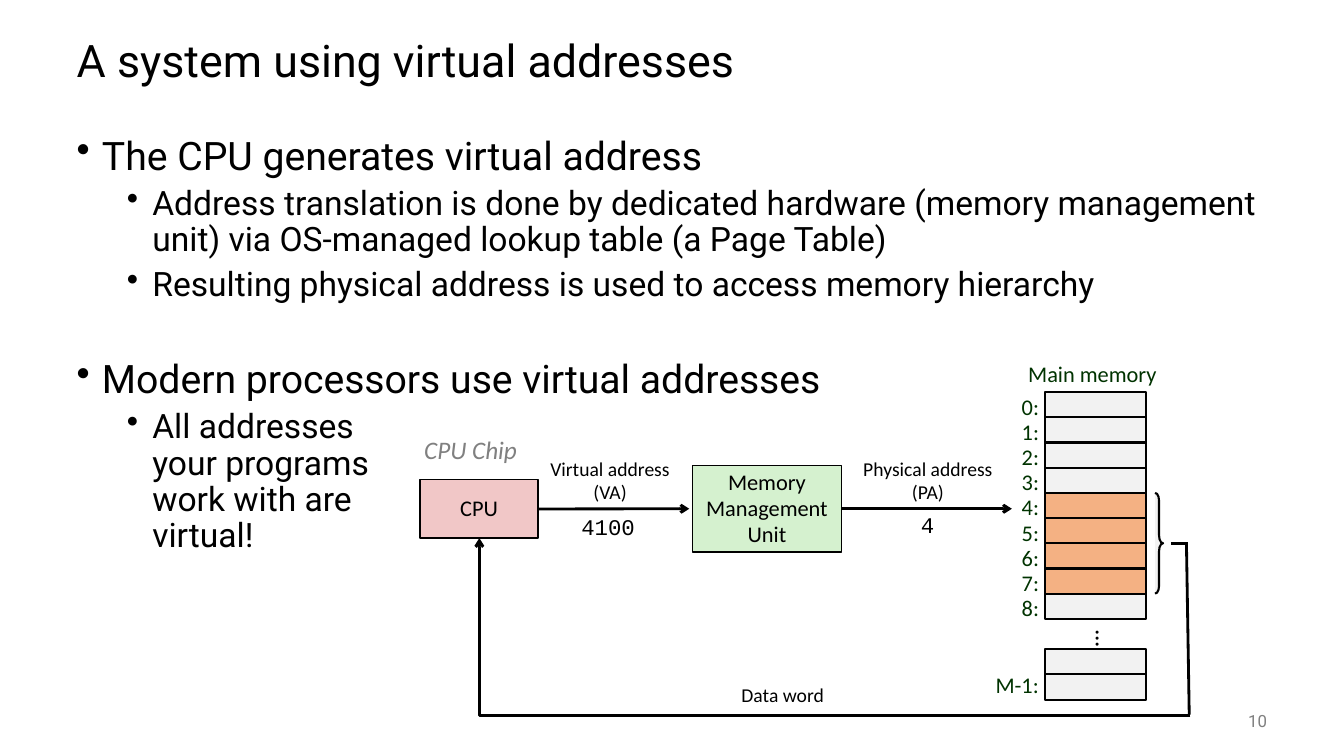
import dataclasses
import lxml.etree
import pptx
import pptx.dml.color
import pptx.enum.shapes
import pptx.enum.text
import pptx.oxml.ns
import pptx.util

Cm = pptx.util.Cm
Pt = pptx.util.Pt
Align = pptx.enum.text.PP_ALIGN
Anchor = pptx.enum.text.MSO_ANCHOR
Fit = pptx.enum.text.MSO_AUTO_SIZE
Shape = pptx.enum.shapes.MSO_SHAPE
Link = pptx.enum.shapes.MSO_CONNECTOR
qn = pptx.oxml.ns.qn


@dataclasses.dataclass
class Theme:
    main: str = "Roboto"
    label: str = "Calibri"
    code: str = "Courier New"
    black: str = "000000"
    gray: str = "808080"
    green: str = "003300"
    mint: str = "D5F1CF"
    pink: str = "F1C7C7"
    pale: str = "F2F2F2"
    orange: str = "F4B183"
    title: int = 32
    point: int = 28
    detail: int = 24
    large: int = 18
    normal: int = 16
    small: int = 14
    tiny: int = 12


def color(code):
    return pptx.dml.color.RGBColor.from_string(code)


class Slide:
    def __init__(self, deck, theme):
        self.theme = theme
        self.slide = deck.slides.add_slide(deck.slide_layouts[5])
        self.shapes = self.slide.shapes

    def style(self, para, font, size, tint=None, align=Align.LEFT, space=1.0, slant=False):
        para.alignment = align
        para.line_spacing = space
        for run in para.runs:
            run.font.name = font
            run.font.size = Pt(size)
            run.font.italic = slant
            run.font.color.rgb = color(tint or self.theme.black)

    def head(self, text, left, top, width, height):
        title = self.shapes.title
        title.left, title.top, title.width, title.height = map(Cm, (left, top, width, height))
        frame = title.text_frame
        frame.text = text
        frame.auto_size = Fit.NONE
        frame.vertical_anchor = Anchor.MIDDLE
        self.style(frame.paragraphs[0], self.theme.main, self.theme.title, space=0.9)

    def points(self, items, left, top, width, height):
        frame = self.shapes.add_textbox(*map(Cm, (left, top, width, height))).text_frame
        frame.word_wrap = True
        for place, (level, before, text) in enumerate(items):
            para = frame.paragraphs[0] if place == 0 else frame.add_paragraph()
            para.text = text
            para.level = level
            props = para._p.get_or_add_pPr()
            props.set("marL", str(Cm(0.64 + 1.27 * level)))
            props.set("indent", str(Cm(-0.64)))
            lxml.etree.SubElement(props, qn("a:buChar")).set("char", "•")
            para.space_before = Pt(before)
            size = self.theme.detail if level else self.theme.point
            self.style(para, self.theme.main, size, space=0.9 if level else 1.0)

    def note(self, text, left, top, width, height, font=None, size=None,
             anchor=Anchor.MIDDLE, wrap=False, **look):
        box = self.shapes.add_textbox(*map(Cm, (left, top, width, height)))
        frame = box.text_frame
        frame.text = text
        frame.word_wrap = wrap
        frame.vertical_anchor = anchor
        for para in frame.paragraphs:
            self.style(para, font or self.theme.label, size or self.theme.normal, **look)
        return box

    def box(self, fill, left, top, width, height, text="", kind=Shape.RECTANGLE, line=1.5):
        shape = self.shapes.add_shape(kind, *map(Cm, (left, top, width, height)))
        shape.shadow.inherit = False
        shape.fill.solid()
        shape.fill.fore_color.rgb = color(fill)
        shape.line.color.rgb = color(self.theme.black)
        shape.line.width = Pt(line)
        if text:
            frame = shape.text_frame
            frame.word_wrap = False
            frame.vertical_anchor = Anchor.MIDDLE
            para = frame.paragraphs[0]
            para.text = text
            self.style(para, self.theme.label, self.theme.normal, align=Align.CENTER, space=0.98)
        return shape

    def wire(self, start, end, arrow=False, source=None, kind=Link.STRAIGHT):
        link = self.shapes.add_connector(kind, *map(Cm, start + end))
        if source is not None:
            link.begin_connect(source, 3)
        link.line.color.rgb = color(self.theme.black)
        link.line.width = Pt(2)
        if arrow:
            tail = lxml.etree.SubElement(link.line._get_or_add_ln(), qn("a:tailEnd"))
            tail.set("type", "arrow")
        lxml.etree.SubElement(link._element.spPr, qn("a:effectLst"))
        return link

    def corner(self, start, end):
        link = self.wire(start, end, arrow=True, kind=Link.ELBOW)
        props = link._element.spPr
        props.find(qn("a:prstGeom")).set("prst", "bentConnector2")
        props.find(qn("a:xfrm")).set("rot", "10800000")


def memory(page):
    theme = page.theme
    left, top, width, row = 26.34, 9.88, 2.54, 0.635
    look = dict(anchor=Anchor.TOP, tint=theme.green, space=0.88)
    page.note("Main memory", 25.6, 9.04, 3.86, 0.84, align=Align.CENTER, **look)
    for cell in range(9):
        fill = theme.orange if 4 <= cell <= 7 else theme.pale
        page.box(fill, left, top + cell * row, width, row)
        page.note(f"{cell}:", 25.5, 9.86 + cell * row, 0.94, 0.84, **look)
    for cell in range(2):
        page.box(theme.pale, left, 16.36 + cell * row, width, row)
    page.note("M-1:", 24.84, 16.87, 1.63, 0.84, **look)
    dots = page.note("...", 26.57, 15.6, width, row, size=theme.large,
                     align=Align.CENTER, space=0.98)
    dots.text_frame._txBody.bodyPr.set("vert", "eaVert")
    brace = page.box(theme.pale, 29.11, top + 4 * row, 0.2, 4 * row, kind=Shape.RIGHT_BRACE)
    brace.adjustments[0] = 1


def main():
    deck = pptx.Presentation()
    deck.slide_width, deck.slide_height = Cm(33.87), Cm(19.05)
    theme = Theme()
    page = Slide(deck, theme)
    page.head("A system using virtual addresses", 1.68, 0.64, 30.48, 1.9)
    page.points([
        (0, 0, "The CPU generates virtual address"),
        (1, 6, "Address translation is done by dedicated hardware (memory management "
               "unit) via OS-managed lookup table (a Page Table)"),
        (1, 6, "Resulting physical address is used to access memory hierarchy"),
        (0, 36, "Modern processors use virtual addresses"),
        (1, 6, "All addresses\nyour programs\nwork with are\nvirtual!"),
    ], 1.68, 3.18, 30.48, 12.45)

    memory(page)
    chip = page.box(theme.pink, 10.59, 12.09, 2.97, 1.47, "CPU", line=1)
    unit = page.box(theme.mint, 17.45, 11.73, 3.76, 2.18, "Memory\nManagement\nUnit", line=1)
    page.wire((13.56, 12.82), (17.37, 12.82), arrow=True, source=chip)
    page.wire((21.21, 12.82), (25.5, 12.82), arrow=True, source=unit)
    page.wire((29.51, 13.7), (29.95, 13.7))
    page.wire((29.9, 13.72), (29.97, 18.01))
    page.corner((12.08, 13.56), (30, 18.03))

    look = dict(size=theme.small, align=Align.CENTER, space=0.98)
    page.note("Virtual address\n(VA)", 13.56, 11.4, 3.63, 1.45, **look)
    page.note("Physical address\n(PA)", 21.44, 11.4, 3.89, 1.45, **look)
    page.note("Data word", 18.39, 17.12, 2.67, 0.84, **look)
    page.note("CPU Chip", 10.44, 10.82, 2.95, 1.02, size=theme.large,
              anchor=Anchor.TOP, tint=theme.gray, slant=True)
    page.note("4100", 14.4, 12.8, 1.88, 0.94, font=theme.code, anchor=Anchor.TOP)
    page.note("4", 22.96, 12.75, 0.86, 0.94, font=theme.code, anchor=Anchor.TOP)
    page.note("10", 29.64, 17.65, 2.54, 1.02, font=theme.main, size=theme.tiny,
              wrap=True, tint=theme.gray, align=Align.RIGHT)
    deck.save("out.pptx")


if __name__ == "__main__":
    main()
